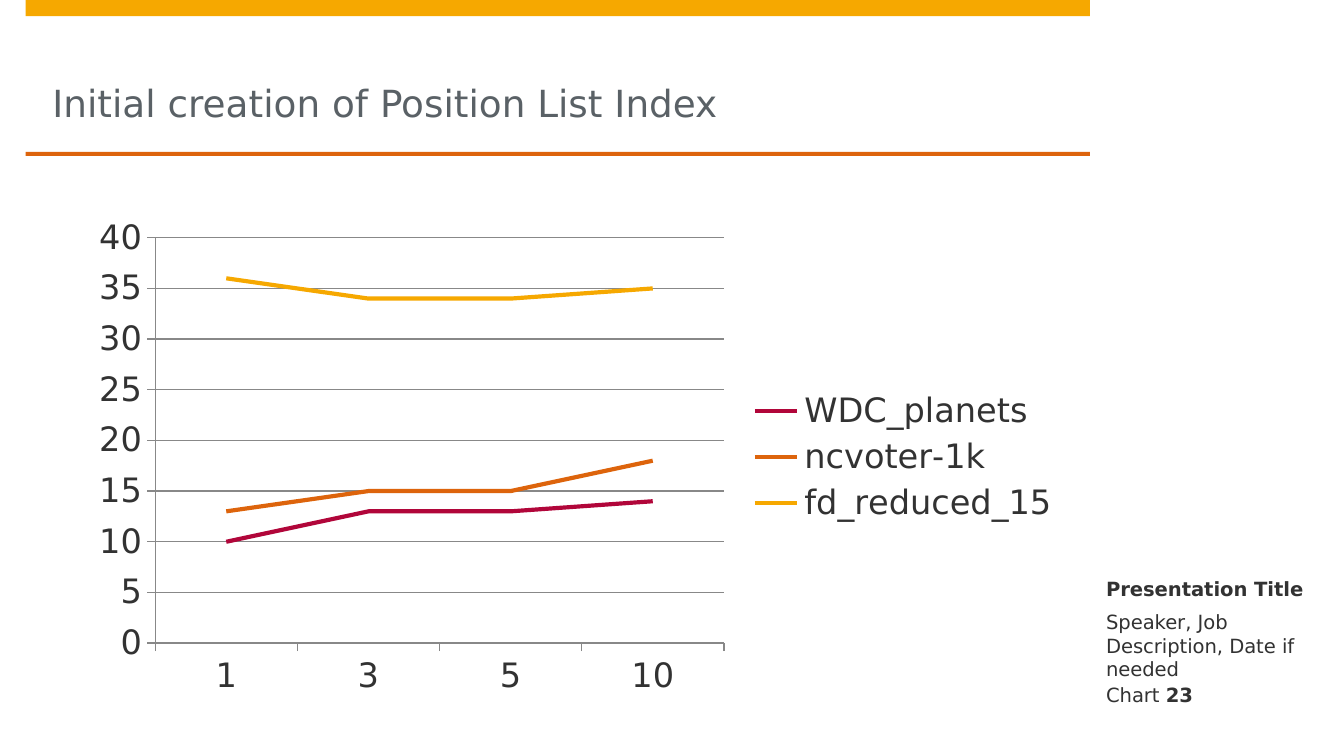
from pptx import Presentation
from pptx.chart.data import CategoryChartData
from pptx.dml.color import RGBColor
from pptx.enum.chart import XL_CHART_TYPE as ChartType, XL_LEGEND_POSITION as LegendPosition
from pptx.enum.chart import XL_TICK_MARK as TickMark
from pptx.enum.shapes import MSO_SHAPE as Shape
from pptx.enum.text import MSO_ANCHOR as Anchor, PP_ALIGN as Align
from pptx.util import Inches, Pt

YELLOW = RGBColor(0xF6, 0xA8, 0x00)
ORANGE = RGBColor(0xDD, 0x64, 0x0C)
CRIMSON = RGBColor(0xB1, 0x06, 0x3A)
SLATE = RGBColor(0x5A, 0x61, 0x66)
INK = RGBColor(0x32, 0x32, 0x32)
GRID_GREY = RGBColor(0x88, 0x88, 0x88)

THREADS = ["1", "3", "5", "10"]
DATASETS = [
    ("WDC_planets", (10, 13, 13, 14), CRIMSON),
    ("ncvoter-1k", (13, 15, 15, 18), ORANGE),
    ("fd_reduced_15", (36, 34, 34, 35), YELLOW),
]


class SlideBuilder:
    """Hold the shared style and the slide being built."""

    font_name = "DejaVu Sans"
    bar_left, bar_width = 0.19, 7.92
    side_left, side_width = 8.11, 1.69

    def __init__(self, slide):
        self.slide = slide

    def style(self, font, size, color, bold=False):
        font.name = self.font_name
        font.size = Pt(size)
        font.bold = bold
        font.color.rgb = color

    def frame(self, text_frame, anchor, left=0, bottom=0):
        text_frame.word_wrap = True
        text_frame.vertical_anchor = anchor
        text_frame.margin_left = Inches(left)
        text_frame.margin_bottom = Inches(bottom)
        text_frame.margin_top = text_frame.margin_right = 0

    def title(self, text):
        heading = self.slide.shapes.title
        heading.left, heading.top = Inches(0.39), Inches(0.12)
        heading.width, heading.height = Inches(7.52), Inches(1.01)
        self.frame(heading.text_frame, Anchor.BOTTOM, bottom=0.2)
        heading.text_frame.text = text
        paragraph = heading.text_frame.paragraphs[0]
        paragraph.alignment = Align.LEFT
        self.style(paragraph.runs[0].font, 20, SLATE)

    def bar(self, top, height, color):
        band = self.slide.shapes.add_shape(
            Shape.RECTANGLE, Inches(self.bar_left), Inches(top),
            Inches(self.bar_width), Inches(height))
        band.shadow.inherit = False
        band.fill.solid()
        band.fill.fore_color.rgb = color
        band.line.fill.background()

    def side_note(self, top, height, parts, anchor):
        note = self.slide.shapes.add_textbox(
            Inches(self.side_left), Inches(top), Inches(self.side_width), Inches(height))
        self.frame(note.text_frame, anchor, left=0.12)
        for text, bold in parts:
            run = note.text_frame.paragraphs[0].add_run()
            run.text = text
            self.style(run.font, 10.5, INK, bold)

    def line_chart(self, left, top, width, height, categories, datasets):
        data = CategoryChartData()
        data.categories = categories
        for name, values, _ in datasets:
            data.add_series(name, values)
        chart = self.slide.shapes.add_chart(
            ChartType.LINE, Inches(left), Inches(top), Inches(width), Inches(height), data).chart
        self.style(chart.font, 18, INK)
        chart.has_title = False
        chart.has_legend = True
        chart.legend.position = LegendPosition.RIGHT
        chart.legend.include_in_layout = False
        value_axis = chart.value_axis
        value_axis.minimum_scale, value_axis.maximum_scale = 0, 40
        value_axis.major_unit = 5
        value_axis.has_major_gridlines = True
        for axis in (chart.category_axis, value_axis):
            axis.major_tick_mark = TickMark.OUTSIDE
            axis.minor_tick_mark = TickMark.NONE
        for line in (chart.category_axis.format.line, value_axis.format.line,
                     value_axis.major_gridlines.format.line):
            line.color.rgb = GRID_GREY
            line.width = Pt(0.75)
        chart.plots[0].vary_by_categories = False
        for series, (_, _, color) in zip(chart.plots[0].series, datasets):
            series.smooth = False
            series.format.line.color.rgb = color
            series.format.line.width = Pt(2.25)


def main():
    presentation = Presentation()
    presentation.slide_width = Inches(10)
    presentation.slide_height = Inches(10 * 9 / 16)
    builder = SlideBuilder(presentation.slides.add_slide(presentation.slide_layouts[5]))
    builder.bar(0, 0.12, YELLOW)
    builder.bar(1.13, 0.03, ORANGE)
    builder.title("Initial creation of Position List Index")
    builder.side_note(4.54, 0.51, [("Speaker, Job Description, Date if needed", False)], Anchor.TOP)
    builder.side_note(3.9, 0.57, [("Presentation Title", True)], Anchor.BOTTOM)
    builder.side_note(5.06, 0.2, [("Chart ", False), ("23", True)], Anchor.BOTTOM)
    builder.line_chart(0.59, 1.55, 7.4, 3.7, THREADS, DATASETS)
    presentation.save("out.pptx")


if __name__ == "__main__":
    main()
